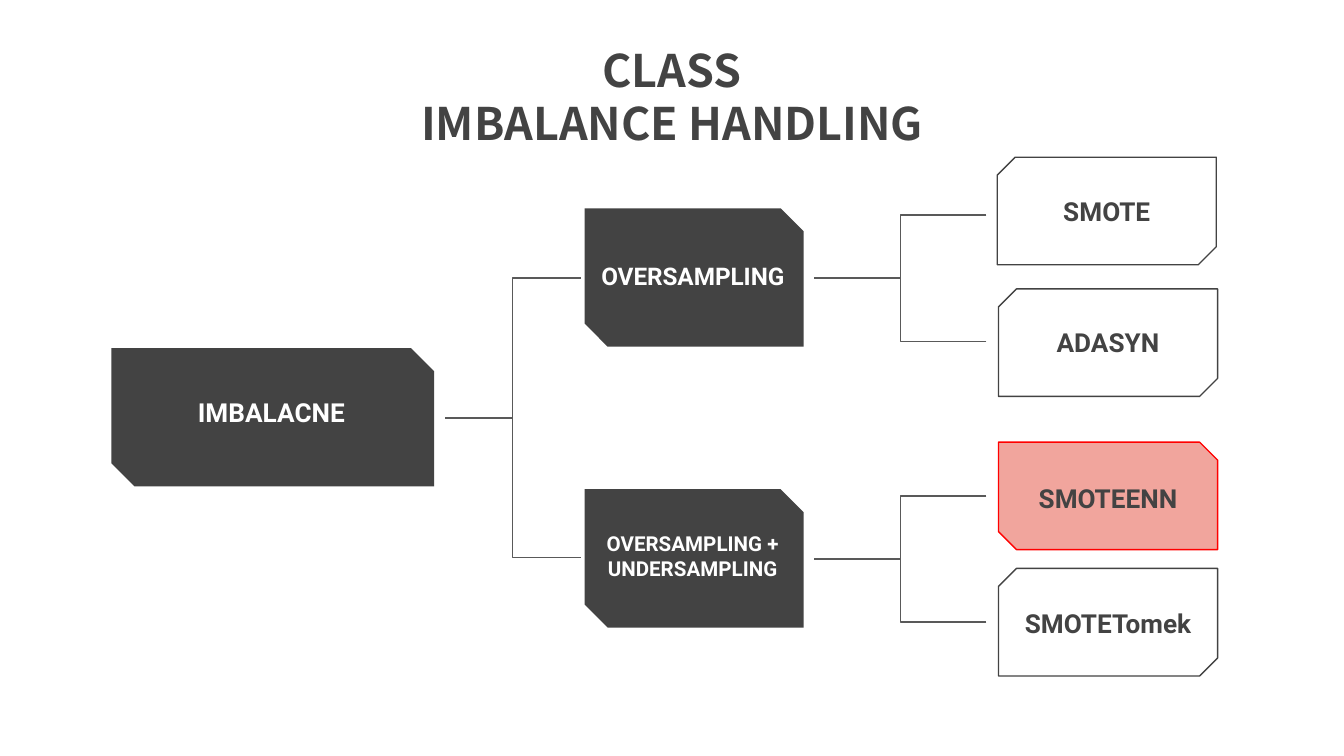
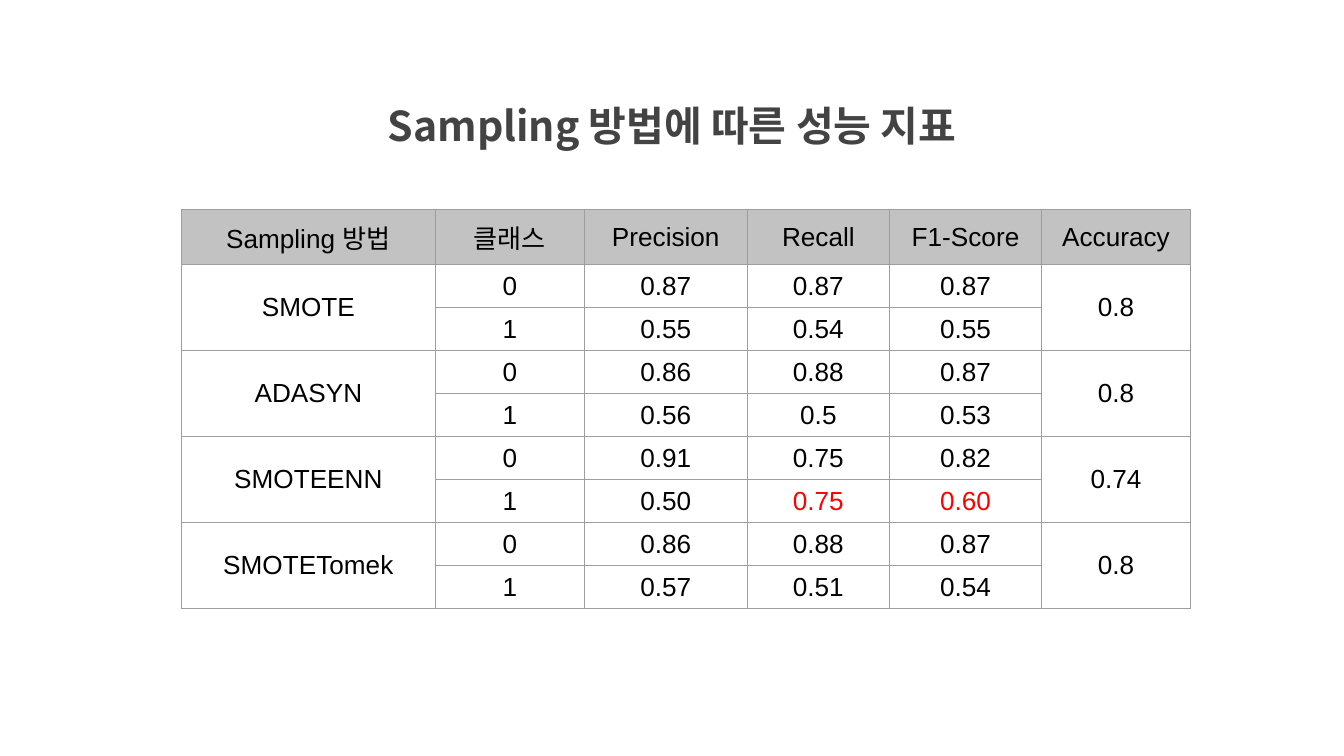
from copy import deepcopy

from lxml.etree import SubElement
from pptx import Presentation
from pptx.dml.color import RGBColor
from pptx.enum.shapes import MSO_CONNECTOR, MSO_SHAPE
from pptx.enum.text import MSO_ANCHOR, MSO_AUTO_SIZE, PP_ALIGN
from pptx.oxml.ns import qn
from pptx.util import Inches, Pt

COLORS = {
    "dark": "434343",
    "white": "FFFFFF",
    "black": "000000",
    "red": "FF0000",
    "pink": "F1A59D",
    "link": "595959",
    "header": "C2C2C2",
    "border": "9E9E9E",
}
TITLE_FONT, TREE_FONT, TABLE_FONT = "Noto Sans CJK KR", "Roboto", "Arial"

TREE_TITLE = ["CLASS", "IMBALANCE HANDLING"]
# lines, left, top, width, caption top, caption size
PARENTS = [
    (["IMBALACNE"], 0.83, 2.59, 2.4, 2.85, 14),
    (["OVERSAMPLING"], 4.35, 1.55, 1.63, 1.83, 13),
    (["OVERSAMPLING +", "UNDERSAMPLING"], 4.35, 3.64, 1.63, 3.99, 11),
]
# name, left, top, caption top, chosen
METHODS = [
    ("SMOTE", 7.42, 1.17, 1.36, False),
    ("ADASYN", 7.43, 2.15, 2.33, False),
    ("SMOTEENN", 7.43, 3.29, 3.49, True),
    ("SMOTETomek", 7.43, 4.23, 4.42, False),
]
PARENT_HEIGHT = 1.03
METHOD_WIDTH, METHOD_HEIGHT = 1.63, 0.8
CAPTION_WIDTH, CAPTION_HEIGHT = 1.56, 0.43
# start x, parent centre y, end x, distance to each child's centre
BRANCHES = [
    (3.31, 3.11, 4.32, 1.04),
    (6.06, 2.07, 7.34, 0.47),
    (6.06, 4.16, 7.34, 0.47),
]

SCORE_TITLE = ["Sampling 방법에 따른 성능 지표"]
SCORE_HEADER = ["Sampling 방법", "클래스", "Precision", "Recall", "F1-Score", "Accuracy"]
# method, scores of class 0, scores of class 1, accuracy
SCORES = [
    ("SMOTE", ["0.87", "0.87", "0.87"], ["0.55", "0.54", "0.55"], "0.8"),
    ("ADASYN", ["0.86", "0.88", "0.87"], ["0.56", "0.5", "0.53"], "0.8"),
    ("SMOTEENN", ["0.91", "0.75", "0.82"], ["0.50", "0.75", "0.60"], "0.74"),
    ("SMOTETomek", ["0.86", "0.88", "0.87"], ["0.57", "0.51", "0.54"], "0.8"),
]
RED_CELLS = {(6, 3), (6, 4)}
COLUMN_WIDTHS = [1.89, 1.11, 1.21, 1.06, 1.13, 1.11]
HEADER_HEIGHT, ROW_HEIGHT = 0.41, 0.32


def rgb(name):
    return RGBColor.from_string(COLORS[name])


def write(para, text, size=14, font=TREE_FONT, color="dark", bold=True):
    para.alignment = PP_ALIGN.CENTER
    span = para.add_run()
    span.text = text
    span.font.size = Pt(size)
    span.font.name = font
    span.font.bold = bold
    span.font.color.rgb = rgb(color)
    return span


def set_margins(frame):
    frame.margin_left = frame.margin_right = Inches(0.1)
    frame.margin_top = frame.margin_bottom = Inches(0.1)


def add_title(page, lines, left, top, width, height, size):
    title = page.shapes.title
    title.left, title.top = Inches(left), Inches(top)
    title.width, title.height = Inches(width), Inches(height)
    frame = title.text_frame
    frame.auto_size = MSO_AUTO_SIZE.NONE
    frame.vertical_anchor = MSO_ANCHOR.MIDDLE
    set_margins(frame)
    para = frame.paragraphs[0]
    for index, line in enumerate(lines):
        if index:
            para.add_line_break()
        span = write(para, line, size=size, font=TITLE_FONT)
    for line_break in para._p.findall(qn("a:br")):
        line_break.append(deepcopy(span._r.rPr))


def add_box(page, left, top, width, height, fill=None, line=None, mirrored=False):
    """Add a box with two opposite corners cut; mirrored cuts the other two."""
    box = page.shapes.add_shape(
        MSO_SHAPE.SNIP_2_DIAG_RECTANGLE,
        Inches(left), Inches(top), Inches(width), Inches(height))
    box.shadow.inherit = False
    box.adjustments[0], box.adjustments[1] = (0.167, 0) if mirrored else (0, 0.167)
    if fill:
        box.fill.solid()
        box.fill.fore_color.rgb = rgb(fill)
    else:
        box.fill.background()
    if line:
        box.line.color.rgb = rgb(line)
        box.line.width = Pt(0.75)
    else:
        box.line.fill.background()


def add_caption(page, lines, center, top, **style):
    box = page.shapes.add_textbox(
        Inches(center - CAPTION_WIDTH / 2), Inches(top),
        Inches(CAPTION_WIDTH), Inches(CAPTION_HEIGHT))
    frame = box.text_frame
    frame.word_wrap = False
    frame.vertical_anchor = MSO_ANCHOR.BOTTOM
    set_margins(frame)
    for index, line in enumerate(lines):
        para = frame.add_paragraph() if index else frame.paragraphs[0]
        write(para, line, **style)


def add_branch(page, start, middle, end, reach):
    for child in (middle - reach, middle + reach):
        link = page.shapes.add_connector(
            MSO_CONNECTOR.ELBOW,
            Inches(end), Inches(child), Inches(start), Inches(middle))
        link.line.color.rgb = rgb("link")
        link.line.width = Pt(0.75)
        SubElement(link._element.spPr, qn("a:effectLst"))


def build_tree(page):
    add_title(page, TREE_TITLE, 2.15, 0.2, 5.7, 1.03, size=24)
    for branch in BRANCHES:
        add_branch(page, *branch)
    for lines, left, top, width, caption_top, size in PARENTS:
        add_box(page, left, top, width, PARENT_HEIGHT, fill="dark")
        add_caption(page, lines, left + width / 2 - 0.01, caption_top,
                    size=size, color="white")
    for name, left, top, caption_top, chosen in METHODS:
        add_box(page, left, top, METHOD_WIDTH, METHOD_HEIGHT,
                fill="pink" if chosen else None,
                line="red" if chosen else "dark", mirrored=not chosen)
        add_caption(page, [name], left + METHOD_WIDTH / 2, caption_top)


def add_borders(cell):
    properties = cell._tc.get_or_add_tcPr()
    for side in ("lnL", "lnR", "lnT", "lnB"):
        line = SubElement(properties, qn(f"a:{side}"), w=str(Pt(0.75)))
        fill = SubElement(line, qn("a:solidFill"))
        SubElement(fill, qn("a:srgbClr"), val=COLORS["border"])


def fill_cell(cell, text, color, header):
    add_borders(cell)
    if header:
        cell.fill.solid()
        cell.fill.fore_color.rgb = rgb("header")
    else:
        cell.fill.background()
    cell.vertical_anchor = MSO_ANCHOR.MIDDLE
    cell.margin_top = cell.margin_bottom = Inches(0.04)
    if text:
        para = cell.text_frame.paragraphs[0]
        write(para, text, font=TABLE_FONT, color=color, bold=False)


def build_scores(page):
    add_title(page, SCORE_TITLE, 1.88, 0.63, 6.24, 0.6, size=22)
    rows = [SCORE_HEADER]
    for method, class_0, class_1, accuracy in SCORES:
        rows.append([method, "0", *class_0, accuracy])
        rows.append(["", "1", *class_1, ""])
    height = HEADER_HEIGHT + ROW_HEIGHT * (len(rows) - 1)
    table = page.shapes.add_table(
        len(rows), len(COLUMN_WIDTHS), Inches(1.35), Inches(1.56),
        Inches(sum(COLUMN_WIDTHS)), Inches(height)).table
    table.first_row = table.horz_banding = False
    for column, width in zip(table.columns, COLUMN_WIDTHS):
        column.width = Inches(width)
    for r, values in enumerate(rows):
        table.rows[r].height = Inches(ROW_HEIGHT if r else HEADER_HEIGHT)
        for c, text in enumerate(values):
            color = "red" if (r, c) in RED_CELLS else "black"
            fill_cell(table.cell(r, c), text, color, header=r == 0)
    for r in range(1, len(rows), 2):
        for c in (0, len(COLUMN_WIDTHS) - 1):
            table.cell(r, c).merge(table.cell(r + 1, c))


def main():
    deck = Presentation()
    deck.slide_width = Inches(10)
    deck.slide_height = deck.slide_width * 9 // 16
    for build in (build_tree, build_scores):
        build(deck.slides.add_slide(deck.slide_layouts[5]))
    deck.save("out.pptx")


if __name__ == "__main__":
    main()
